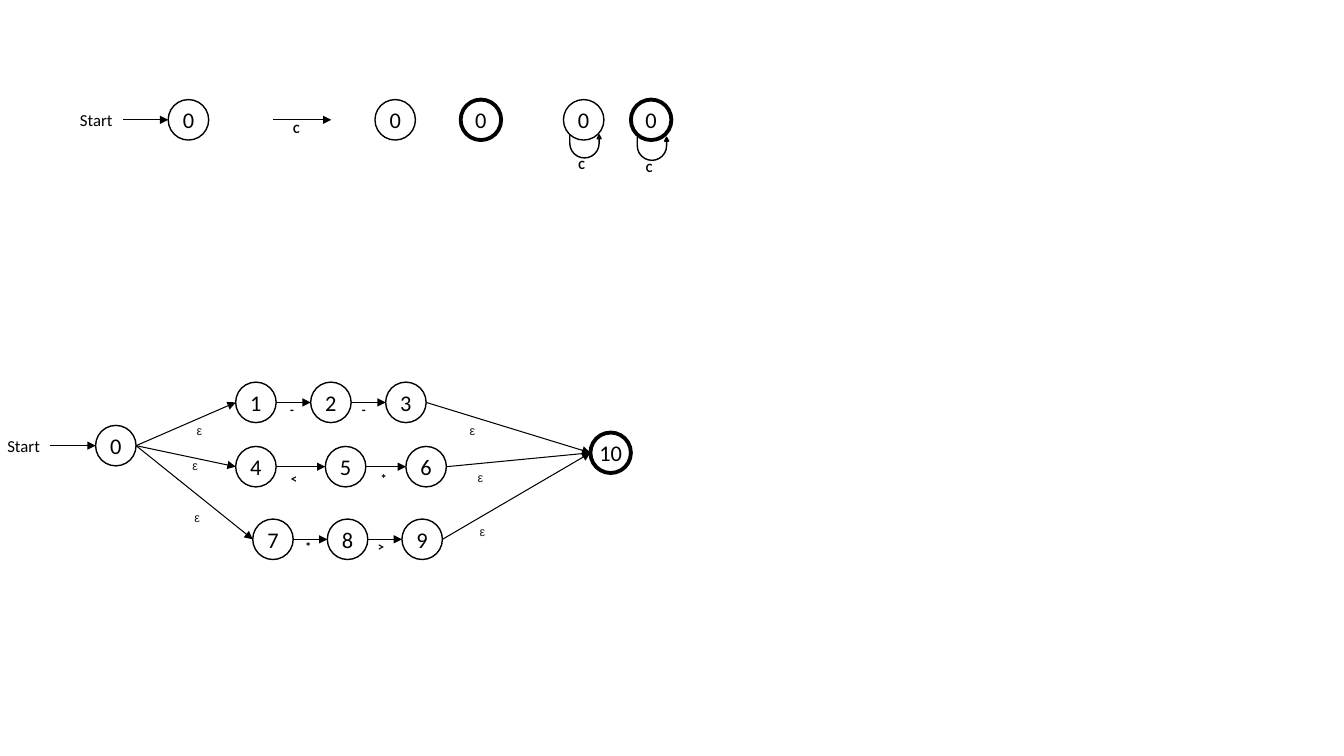
from lxml import etree
from pptx import Presentation
from pptx import util as u
from pptx.dml.color import RGBColor
from pptx.enum import shapes as kinds, text
from pptx.oxml import ns

Cm = u.Cm
COLORS = {"ink": "000000", "epsilon": "202124"}
NODE = 1.02
THIN, THICK = 1, 2.75
LABEL_W, LABEL_H = 0.41, 0.64
START_W, START_H = 1.35, 0.76

START_FONT = {"name": "Calibri", "size": u.Pt(12)}
STATE_FONT = {"name": "Calibri", "size": u.Pt(16)}
SYMBOL_FONT = {"name": "Calibri", "size": u.Pt(9), "bold": True}
EPSILON_FONT = {"name": "Arial", "size": u.Pt(9)}

# Horizontal places are measured from the box's left edge, centres from its top.
BRANCHES = [
    {"centre": 0.51, "lefts": [6.02, 7.91, 9.8], "states": "123",
     "symbols": [("-", 7.44), ("-", 9.25)], "drop": 0.19,
     "epsilons": [(5.11, 1.23), (11.99, 1.23)]},
    {"centre": 2.13, "lefts": [6.02, 8.28, 10.31], "states": "456",
     "symbols": [("<", 7.49), ("*", 9.75)], "drop": 0.29,
     "epsilons": [(5, 2.1), (12.19, 2.4)]},
    {"centre": 3.96, "lefts": [6.45, 8.33, 10.21], "states": "789",
     "symbols": [("*", 7.85), (">", 9.68)], "drop": 0.19,
     "epsilons": [(5.05, 3.42), (12.24, 3.77)]},
]


def rgb(name):
    return RGBColor.from_string(COLORS[name])


def write(shape, words, font, color="ink"):
    """Centre words in the shape, without margins or wrapping."""
    frame = shape.text_frame
    settings = {"margin_left": 0, "margin_right": 0, "margin_top": 0,
                "margin_bottom": 0, "word_wrap": False,
                "vertical_anchor": text.MSO_ANCHOR.MIDDLE}
    for key, value in settings.items():
        setattr(frame, key, value)
    paragraph = frame.paragraphs[0]
    paragraph.alignment = text.PP_ALIGN.CENTER
    run = paragraph.add_run()
    run.text = words
    for key, value in font.items():
        setattr(run.font, key, value)
    run.font.color.rgb = rgb(color)


def add_label(shapes, words, x, y, font=SYMBOL_FONT, color="ink",
              size=(LABEL_W, LABEL_H)):
    """Place words with their middle at x, y."""
    width, height = size
    label = shapes.add_textbox(Cm(x - width / 2), Cm(y - height / 2),
                               Cm(width), Cm(height))
    write(label, words, font, color)


def outline(shape, weight):
    shape.line.color.rgb = rgb("ink")
    shape.line.width = u.Pt(weight)


def add_state(shapes, name, left, centre, weight=THIN):
    state = shapes.add_shape(kinds.MSO_SHAPE.OVAL, Cm(left),
                             Cm(centre - NODE / 2), Cm(NODE), Cm(NODE))
    state.shadow.inherit = False
    state.fill.background()
    outline(state, weight)
    write(state, name, STATE_FONT)


def add_arrow(shapes, start, end):
    arrow = shapes.add_connector(kinds.MSO_CONNECTOR.STRAIGHT,
                                 *(Cm(v) for v in (*start, *end)))
    outline(arrow, 0.75)
    head = etree.SubElement(arrow.line._get_or_add_ln(), ns.qn("a:tailEnd"))
    head.set("type", "triangle")
    etree.SubElement(arrow._element.spPr, ns.qn("a:effectLst"))


def add_start(slide, left, centre):
    """Start label, arrow and state 0; returns the state's right edge."""
    group = slide.shapes.add_group_shape().shapes
    state_left = left + 2.49
    add_label(group, "Start", left + START_W / 2, centre, START_FONT,
              size=(START_W, START_H))
    add_arrow(group, (left + START_W, centre), (state_left, centre))
    add_state(group, "0", state_left, centre)
    return state_left + NODE


def add_looped_state(slide, left, centre, weight, drop):
    """State 0 with an arrow back to itself, lowered by drop."""
    group = slide.shapes.add_group_shape().shapes
    top = centre - NODE / 2 + drop
    add_state(group, "0", left, centre, weight)
    loop = group.add_shape(kinds.MSO_SHAPE.U_TURN_ARROW, Cm(left + 0.16),
                           Cm(top + 0.89), Cm(0.79), Cm(0.58))
    for index, value in enumerate((0, 0.085, 0.164, 0.717, 1)):
        loop.adjustments[index] = value
    loop.rotation = 180
    loop._element.spPr.xfrm.set("flipH", "1")
    loop.shadow.inherit = False
    loop.fill.solid()
    loop.fill.fore_color.rgb = rgb("ink")
    outline(loop, THIN)
    add_label(group, "C", left + NODE / 2 - 0.05, top + 1.64)


def build_legend(slide, left, top):
    centre = top + NODE / 2
    add_start(slide, left, centre)
    transition = slide.shapes.add_group_shape().shapes
    add_arrow(transition, (left + 5.13, centre), (left + 6.6, centre))
    add_label(transition, "C", left + 5.72, centre + 0.22)
    for offset, weight in ((7.7, THIN), (9.86, THICK)):
        add_state(slide.shapes, "0", left + offset, centre, weight)
    for offset, weight, drop in ((12.45, THIN, 0), (14.15, THICK, 0.06)):
        add_looped_state(slide, left + offset, centre, weight, drop)


def build_automaton(slide, left, top):
    shapes = slide.shapes
    fork = (add_start(slide, left, top + 1.6), top + 1.6)
    join = (left + 14.96, top + 1.78)
    add_state(shapes, "10", *join, THICK)
    for branch in BRANCHES:
        centre = top + branch["centre"]
        source = fork
        for name, offset in zip(branch["states"], branch["lefts"]):
            state_left = left + offset
            add_arrow(shapes, source, (state_left, centre))
            add_state(shapes, name, state_left, centre)
            source = (state_left + NODE, centre)
        add_arrow(shapes, source, join)
        for symbol, x in branch["symbols"]:
            add_label(shapes, symbol, left + x, centre + branch["drop"])
        for x, y in branch["epsilons"]:
            add_label(shapes, "ε", left + x, top + y, EPSILON_FONT, "epsilon")


def main():
    deck = Presentation()
    deck.slide_width, deck.slide_height = Cm(33.87), Cm(19.05)
    slide = deck.slides.add_slide(deck.slide_layouts[6])
    build_legend(slide, left=1.75, top=2.51)
    build_automaton(slide, left=-0.08, top=9.63)
    deck.save("out.pptx")


if __name__ == "__main__":
    main()
